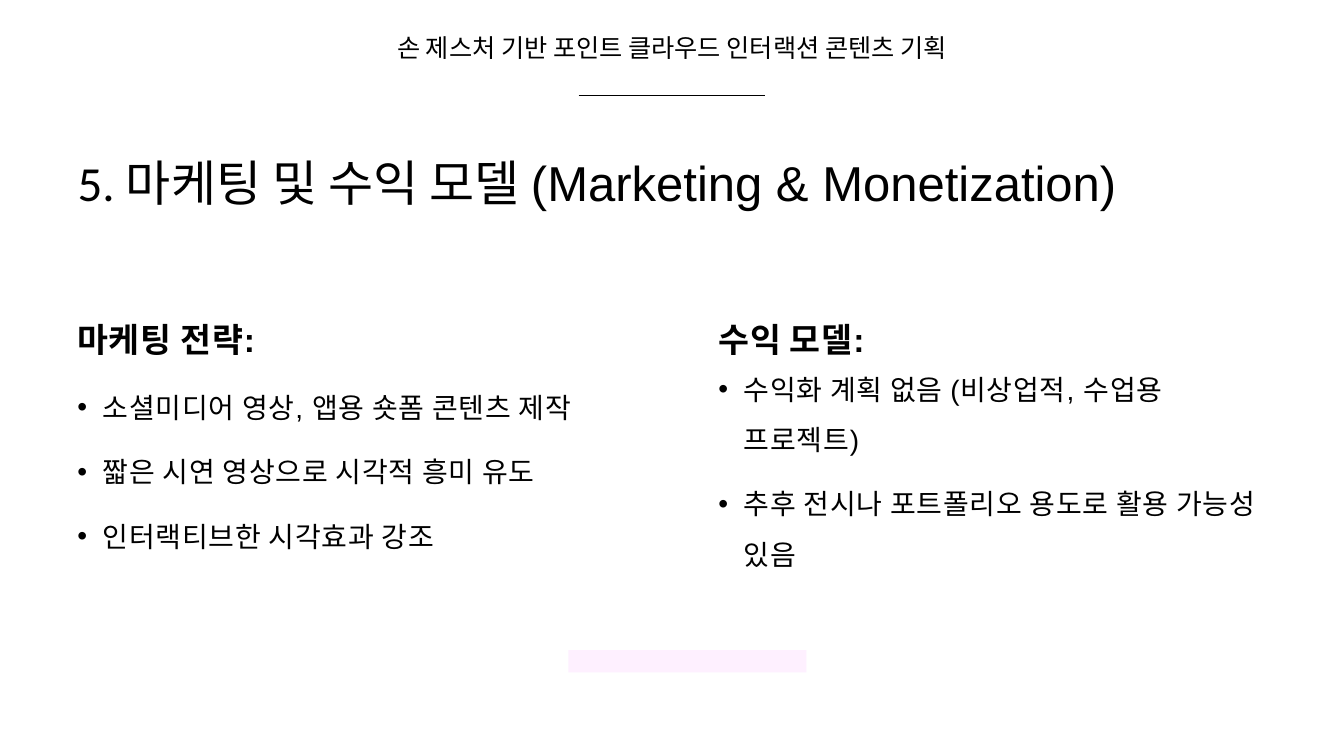
from pptx import Presentation
from pptx.dml.color import RGBColor
from pptx.enum.shapes import MSO_CONNECTOR as CONNECTOR, MSO_SHAPE as SHAPE
from pptx.enum.text import MSO_ANCHOR as ANCHOR, MSO_AUTO_SIZE as FIT, PP_ALIGN as ALIGN
from pptx.oxml.ns import qn
from pptx.util import Pt
from lxml.etree import SubElement

BLACK = RGBColor(0x00, 0x00, 0x00)
WHITE = RGBColor(0xFF, 0xFF, 0xFF)
PINK = RGBColor(0xFE, 0xF0, 0xFF)

COLUMNS = [
    (48.24, 449.28, "마케팅 전략:", [
        "소셜미디어 영상, 앱용 숏폼 콘텐츠 제작",
        "짧은 시연 영상으로 시각적 흥미 유도",
        "인터랙티브한 시각효과 강조",
    ]),
    (506.16, 406.08, "수익 모델:", [
        "수익화 계획 없음 (비상업적, 수업용 프로젝트)",
        "추후 전시나 포트폴리오 용도로 활용 가능성 있음",
    ]),
]


def write(shape, paragraphs, size, align=ALIGN.LEFT, bold=False, spacing=0,
          bullet=False, line=1.0, before=0, inset=7.2):
    frame = shape.text_frame
    frame.word_wrap = True
    frame.auto_size = FIT.NONE
    frame.vertical_anchor = ANCHOR.MIDDLE
    frame.margin_left = frame.margin_right = Pt(inset)
    for index, runs in enumerate(paragraphs):
        paragraph = frame.add_paragraph() if index else frame.paragraphs[0]
        paragraph.alignment = align
        paragraph.line_spacing = line
        paragraph.space_before = Pt(before if index else 0)
        if bullet:
            properties = paragraph._p.get_or_add_pPr()
            properties.set("marL", str(Pt(18)))
            properties.set("indent", str(-Pt(18)))
            SubElement(properties, qn("a:buFont")).set("typeface", "Arial")
            SubElement(properties, qn("a:buChar")).set("char", "•")
        for words, face in runs:
            run = paragraph.add_run()
            run.text = words
            run.font.name = face
            run.font.size = Pt(size)
            run.font.bold = bold
            run.font.color.rgb = BLACK
            if spacing:
                run._r.get_or_add_rPr().set("spc", str(round(spacing * 100)))


class Board:
    """Holds the style and the current slide and draws each kind of element."""

    def __init__(self, slide, face="Arial", veil=65):
        self.slide = slide
        self.face = face
        self.veil = veil

    def tint(self, shape):
        shape.fill.solid()
        shape.fill.fore_color.rgb = WHITE
        color = shape.fill._xPr.find(qn("a:solidFill"))[0]
        SubElement(color, qn("a:alpha")).set("val", str(self.veil * 1000))

    def rule(self, left, right, top):
        rule = self.slide.shapes.add_connector(
            CONNECTOR.STRAIGHT, Pt(left), Pt(top), Pt(right), Pt(top))
        rule.line.color.rgb = BLACK
        rule.line.width = Pt(1)
        SubElement(rule._element.spPr, qn("a:effectLst"))

    def bar(self, left, top, width, height):
        bar = self.slide.shapes.add_shape(
            SHAPE.RECTANGLE, Pt(left), Pt(top), Pt(width), Pt(height))
        bar.shadow.inherit = False
        bar.fill.solid()
        bar.fill.fore_color.rgb = PINK
        bar.line.fill.background()

    def title(self, left, top, width, height, runs, **style):
        title = self.slide.shapes.title
        title.left, title.top = Pt(left), Pt(top)
        title.width, title.height = Pt(width), Pt(height)
        self.tint(title)
        write(title, [runs], **style)

    def text(self, left, top, width, height, lines, veiled=True, **style):
        box = self.slide.shapes.add_textbox(Pt(left), Pt(top), Pt(width), Pt(height))
        if veiled:
            self.tint(box)
        write(box, [[(words, self.face)] for words in lines], **style)


def main():
    deck = Presentation()
    deck.slide_width, deck.slide_height = Pt(960), Pt(540)
    board = Board(deck.slides.add_slide(deck.slide_layouts[5]))
    board.rule(413.28, 546.48, 68.4)
    board.bar(406.08, 464.4, 169.92, 15.84)
    board.text(271.44, 0, 416.88, 67.68,
               ["손 제스처 기반 포인트 클라우드 인터랙션 콘텐츠 기획"],
               veiled=False, size=18, align=ALIGN.CENTER, inset=12)
    board.title(48.24, 95.76, 864, 67.68,
                [("5. 마케팅 및 수익 모델 ", "Calibri"),
                 ("(Marketing & Monetization)", "Arial")], size=35)
    for left, width, heading, points in COLUMNS:
        board.text(left, 225.36, width, 33.84, [heading],
                   size=24, bold=True, spacing=0.5)
        board.text(left, 259.2, width, 143.28, points,
                   size=20, spacing=0.5, bullet=True, line=1.5, before=10)
    deck.save("out.pptx")


if __name__ == "__main__":
    main()
